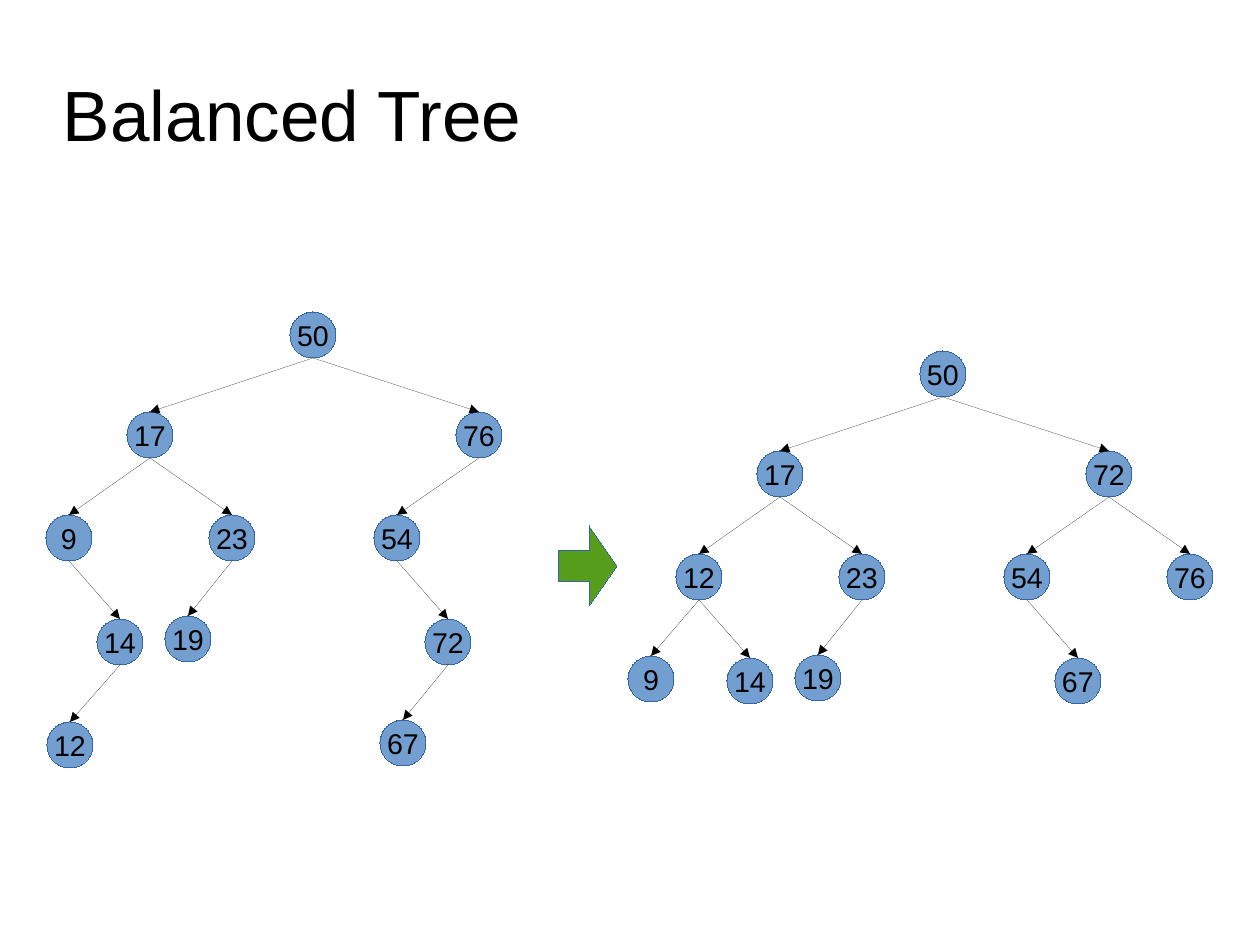
from lxml import etree
from pptx import Presentation, util as u
from pptx.dml import color as dml
from pptx.enum import shapes, text
from pptx.oxml import ns

COLORS = {"ink": "000000", "node": "729FCF", "outline": "3465A4", "arrow": "579D1C"}
SCALE = 8000  # EMU per px
NODE_SIZE = 46

# Top left corner of each tree position; a key spells the way down from the root.
SLOTS = {
    "": (290, 312),
    "L": (127, 412), "R": (456, 412),
    "LL": (46, 515), "LR": (209, 515), "RL": (374, 515), "RR": (537, 515),
    "LLL": (-2, 617), "LLR": (97, 619), "LRL": (165, 616), "RLR": (425, 619),
    "LLRL": (47, 722), "RLRL": (380, 720),
}
UNBALANCED = {"": 50, "L": 17, "R": 76, "LL": 9, "LR": 23, "RL": 54,
              "LLR": 14, "LRL": 19, "RLR": 72, "LLRL": 12, "RLRL": 67}
BALANCED = {"": 50, "L": 17, "R": 72, "LL": 12, "LR": 23, "RL": 54, "RR": 76,
            "LLL": 9, "LLR": 14, "LRL": 19, "RLR": 67}


def px(*lengths):
    return [u.Emu(length * SCALE) for length in lengths]


def rgb(name):
    return dml.RGBColor.from_string(COLORS[name])


def hairline(line, color):
    """Colour the line and give it an explicit width of zero."""
    line.color.rgb = rgb(color)
    outline = line._get_or_add_ln()
    outline.set("w", "0")
    return outline


def write(frame, words, size=18, align=text.PP_ALIGN.LEFT, wrap=True, inset=(0, 0)):
    frame.word_wrap = wrap
    frame.vertical_anchor = text.MSO_ANCHOR.MIDDLE
    frame.margin_left = frame.margin_right = px(inset[0])[0]
    frame.margin_top = frame.margin_bottom = px(inset[1])[0]
    paragraph = frame.paragraphs[0]
    paragraph.alignment = align
    run = paragraph.add_run()
    run.text = words
    run.font.name = "Arial"
    run.font.size = u.Pt(size)
    run.font.color.rgb = rgb("ink")


class TreeSlide:
    def __init__(self, deck):
        self.slide = deck.slides.add_slide(deck.slide_layouts[6])

    def title(self, words, *box):
        heading = self.slide.shapes.add_textbox(*px(*box))
        write(heading.text_frame, words, size=44.8)

    def shape(self, preset, fill, *box):
        figure = self.slide.shapes.add_shape(preset, *px(*box))
        figure.shadow.inherit = False
        figure.fill.solid()
        figure.fill.fore_color.rgb = rgb(fill)
        hairline(figure.line, "outline")
        return figure

    def node(self, value, left, top):
        circle = self.shape(shapes.MSO_SHAPE.OVAL, "node", left, top, NODE_SIZE, NODE_SIZE)
        write(circle.text_frame, str(value), align=text.PP_ALIGN.CENTER,
              wrap=False, inset=(11, 6))
        return circle

    def edge(self, parent, child):
        """Draw an arrow from the bottom of the parent to the top of the child."""
        branch = self.slide.shapes.add_connector(
            shapes.MSO_CONNECTOR.STRAIGHT,
            parent.left + parent.width // 2, parent.top + parent.height,
            child.left + child.width // 2, child.top)
        branch.end_connect(child, 0)
        outline = hairline(branch.line, "ink")
        etree.SubElement(outline, ns.qn("a:tailEnd"), type="triangle")
        etree.SubElement(branch._element.spPr, ns.qn("a:effectLst"))

    def tree(self, values, dx=0, dy=0):
        circles = {}
        for way, value in values.items():
            left, top = SLOTS[way]
            circles[way] = self.node(value, left + dx, top + dy)
            if way:
                self.edge(circles[way[:-1]], circles[way])

    def block_arrow(self, *box):
        arrow = self.shape(shapes.MSO_SHAPE.RIGHT_ARROW, "arrow", *box)
        arrow.adjustments[0] = 0.39
        arrow.adjustments[1] = 0.48


def main():
    deck = Presentation()
    deck.slide_width, deck.slide_height = px(1260, 945)
    page = TreeSlide(deck)
    page.title("Balanced Tree", 63, 36, 878, 155)
    page.tree(UNBALANCED)
    page.tree(BALANCED, dx=630, dy=39)
    page.block_arrow(559, 526, 58, 80)
    deck.save("out.pptx")


if __name__ == "__main__":
    main()
